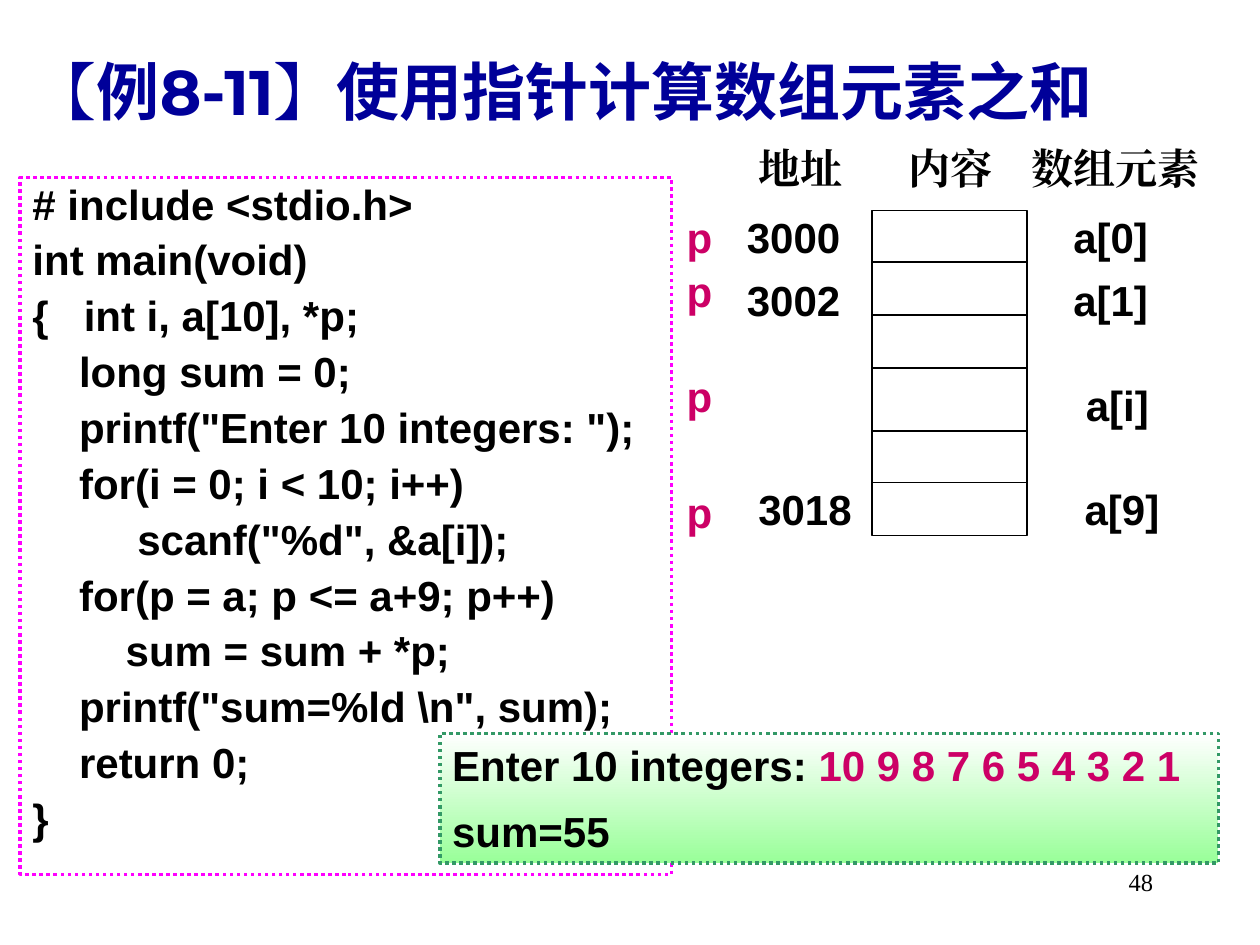
from dataclasses import dataclass
from pptx import Presentation
from pptx.dml.color import RGBColor as RGB
from pptx.enum.dml import MSO_LINE as Dash
from pptx.enum.shapes import MSO_CONNECTOR as Link, MSO_SHAPE as Shape
from pptx.enum.text import MSO_ANCHOR as Anchor, PP_ALIGN as Align
from pptx.oxml.ns import qn
from pptx.util import Inches, Pt
from lxml import etree


@dataclass(frozen=True)
class Theme:
    black: str = "000000"
    title: str = "000099"
    accent: str = "CC0066"
    frame: str = "FF00FF"
    edge: str = "339966"
    light: str = "FFFFFF"
    green: str = "99FF99"
    sans: str = "Arial"
    serif: str = "Times New Roman"
    head: str = "Montserrat"
    body: int = 24
    large: int = 36
    space: int = 40
    small: int = 14


T = Theme()

CODE = r'''# include <stdio.h>
int main(void)
{   int i, a[10], *p;
    long sum = 0;
    printf("Enter 10 integers: ");
    for(i = 0; i < 10; i++)
         scanf("%d", &a[i]);
    for(p = a; p <= a+9; p++)
        sum = sum + *p;
    printf("sum=%ld \n", sum);
    return 0;
}'''


def style(run, color=T.black, size=T.body, face=T.sans, bold=True):
    font = run.font
    font.size, font.bold, font.name = Pt(size), bold, face
    font.color.rgb = RGB.from_string(color)
    asian = etree.SubElement(run._r.get_or_add_rPr(), qn("a:ea"))
    asian.set("typeface", face)


def add_runs(para, parts):
    for text, look in parts:
        run = para.add_run()
        run.text = text
        style(run, **look)


def set_tabs(para, stops):
    tabs = etree.SubElement(para._p.get_or_add_pPr(), qn("a:tabLst"))
    for stop in stops:
        etree.SubElement(tabs, qn("a:tab"), pos=str(Inches(stop)), algn="l")


def add_text(shapes, x, y, w, h, text="", align=Align.LEFT,
             anchor=Anchor.MIDDLE, stops=(), **look):
    box = shapes.add_textbox(Inches(x), Inches(y), Inches(w), Inches(h))
    frame = box.text_frame
    frame.word_wrap, frame.vertical_anchor = True, anchor
    para = frame.paragraphs[0]
    para.alignment = align
    if stops:
        set_tabs(para, stops)
    if text:
        para.text = text
        for run in para.runs:
            style(run, **look)
    return para


def add_rect(shapes, x, y, w, h, color, width=1, dash=None):
    rect = shapes.add_shape(Shape.RECTANGLE, Inches(x), Inches(y),
                            Inches(w), Inches(h))
    rect.shadow.inherit = False
    rect.fill.background()
    rect.line.color.rgb = RGB.from_string(color)
    rect.line.width = Pt(width)
    if dash:
        rect.line.dash_style = dash
    frame = rect.text_frame
    frame.word_wrap, frame.vertical_anchor = True, Anchor.TOP
    return rect


def add_rule(shapes, x, y, w):
    rule = shapes.add_connector(Link.STRAIGHT, Inches(x), Inches(y),
                                Inches(x + w), Inches(y))
    rule.line.color.rgb = RGB.from_string(T.black)
    rule.line.width = Pt(1)
    etree.SubElement(rule._element.spPr, qn("a:effectLst"))


def add_title(shapes):
    para = add_text(shapes, 0.17, 0.25, 9.58, 0.83, anchor=Anchor.BOTTOM)
    mark = dict(color=T.title, size=T.large, face=T.serif, bold=False)
    words = dict(color=T.title, size=T.large, face=T.head)
    add_runs(para, [("【", mark), ("例8-11", words), ("】", mark),
                    ("使用指针计算数组元素之和", words),
                    (" ", dict(words, size=T.space))])


def add_code(shapes):
    rect = add_rect(shapes, 0.16, 1.41, 5.17, 5.53, T.frame, 2, Dash.ROUND_DOT)
    frame = rect.text_frame
    frame.text = CODE
    for num, para in enumerate(frame.paragraphs):
        para.alignment, para.line_spacing = Align.JUSTIFY, 0.9
        para.space_before = Pt(6 if num else 0)
        props = para._p.get_or_add_pPr()
        props.set("marL", str(Inches(0.38)))
        props.set("indent", str(Inches(-0.38)))
        for run in para.runs:
            style(run)


def add_output(shapes):
    rect = add_rect(shapes, 3.49, 5.82, 6.18, 1.03, T.edge, 2, Dash.ROUND_DOT)
    rect.fill.gradient()
    rect.fill.gradient_angle = 270
    for stop, color, place in zip(rect.fill.gradient_stops,
                                  (T.light, T.green), (0, 1)):
        stop.color.rgb = RGB.from_string(color)
        stop.position = place
    frame = rect.text_frame
    first, last = frame.paragraphs[0], frame.add_paragraph()
    add_runs(first, [("Enter 10 integers: ", {}),
                     ("10 9 8 7 6 5 4 3 2 1", dict(color=T.accent))])
    add_runs(last, [("sum=55", {})])
    first.alignment = last.alignment = Align.LEFT
    last.space_before = Pt(9)


def add_memory(shapes):
    group = shapes.add_group_shape().shapes
    # Cells
    left, wide = 6.92, 1.23
    add_rect(group, left, 1.67, wide, 2.58, T.black)
    for y in (2.08, 2.5, 2.92, 3.42, 3.83):
        add_rule(group, left, y, wide)
    # Headings and labels, aligned by tab stops
    add_text(group, 5.92, 1.08, 4.08, 0.5, "地址\t内容\t数组元素",
             stops=(1.19, 2.17), face=T.serif)
    for x, y, text, stop in ((5.83, 1.67, "3000\ta[0]", 2.59),
                             (5.83, 2.17, "3002\ta[1]", 2.59),
                             (5.83, 3, "\ta[i]", 2.69),
                             (5.92, 3.83, "3018\ta[9]", 2.59)):
        add_text(group, x, y, 3.83, 0.42, text, stops=(stop,))


def main():
    deck = Presentation()
    deck.slide_width, deck.slide_height = Inches(10), Inches(7.5)
    shapes = deck.slides.add_slide(deck.slide_layouts[6]).shapes
    # Page number
    add_text(shapes, 7.17, 6.83, 2.08, 0.5, "48", Align.RIGHT, Anchor.TOP,
             size=T.small, face=T.serif, bold=False)
    # Program, title and its output
    add_code(shapes)
    add_title(shapes)
    add_output(shapes)
    # Array in memory, with the pointer's successive places
    add_memory(shapes)
    for y in (1.67, 2.1, 2.93, 3.85):
        add_text(shapes, 5.17, y, 0.58, 0.42, "p", Align.RIGHT, color=T.accent)
    deck.save("out.pptx")


if __name__ == "__main__":
    main()
